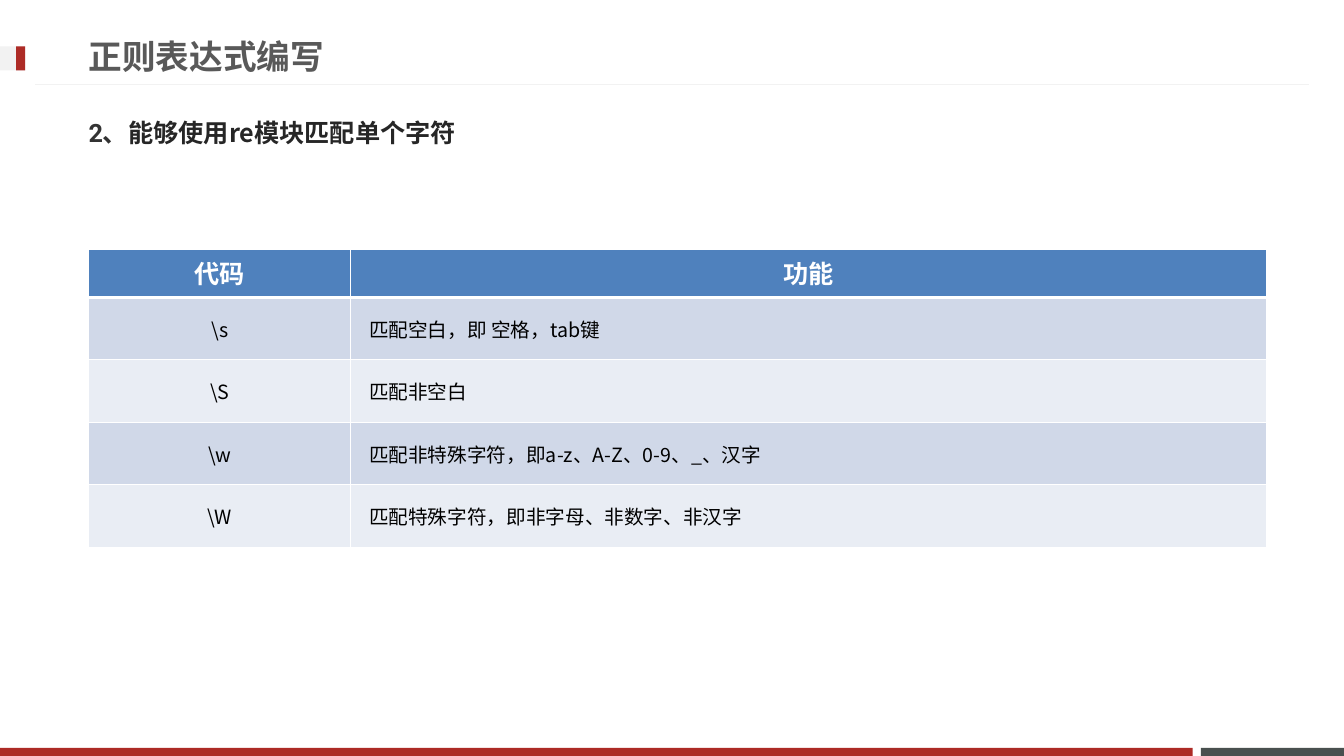
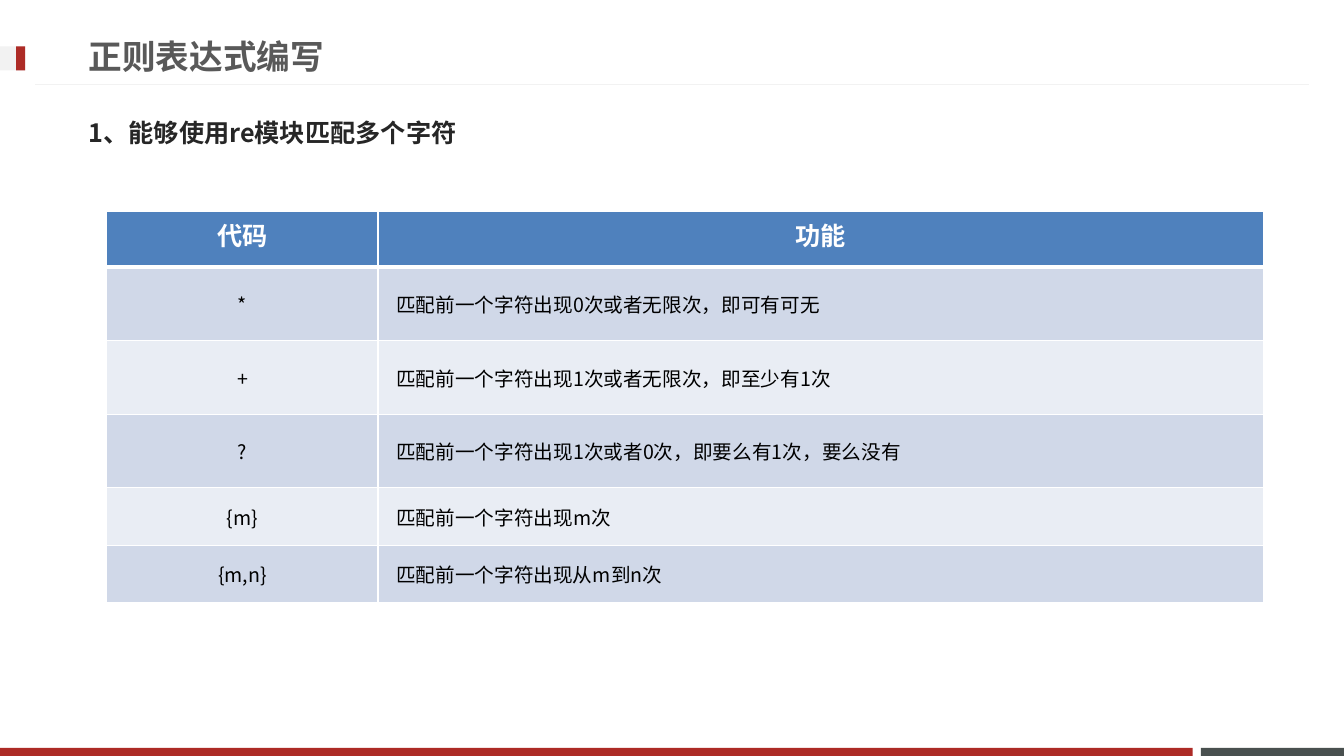
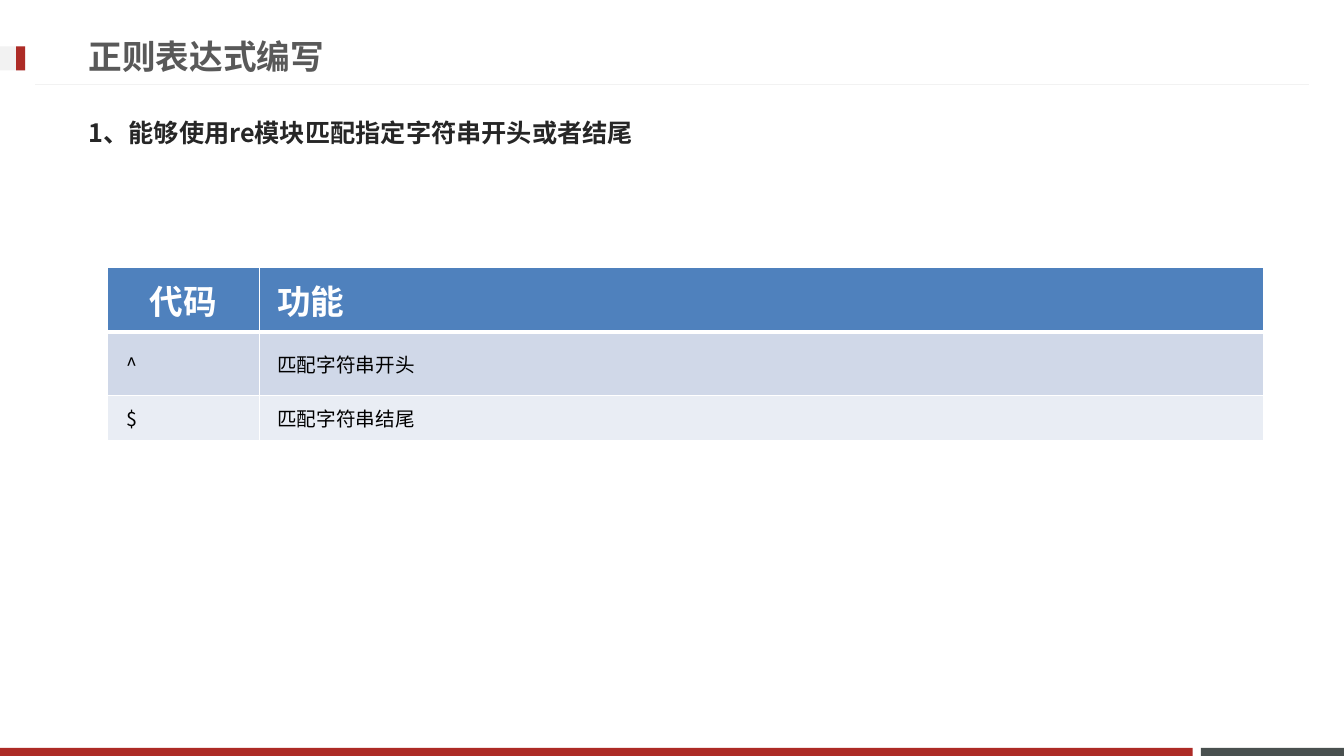
from dataclasses import dataclass
from typing import NamedTuple

from lxml.etree import SubElement
from pptx import Presentation
from pptx.dml.color import RGBColor
from pptx.enum.shapes import MSO_CONNECTOR, MSO_SHAPE
from pptx.enum.text import MSO_ANCHOR, MSO_AUTO_SIZE, PP_ALIGN
from pptx.oxml.ns import qn
from pptx.util import Inches, Pt


# Shared theme
@dataclass(frozen=True)
class Theme:
    red: str = "AD2B26"
    slate: str = "49504F"
    pale: str = "F2F2F2"
    gray: str = "595959"
    dark: str = "333333"
    ink: str = "262626"
    black: str = "000000"
    white: str = "FFFFFF"
    head: str = "4F81BD"
    bands: tuple[str, str] = ("D0D8E8", "E9EDF4")
    cjk: str = "Noto Sans CJK SC"
    big: int = 24
    mid: int = 18
    small: int = 14


THEME = Theme()
LEFT, CENTER = PP_ALIGN.LEFT, PP_ALIGN.CENTER
TOP, MIDDLE = MSO_ANCHOR.TOP, MSO_ANCHOR.MIDDLE
TIGHT, WIDE = (0.1, 0.05), (0.18, 0.08)


class Bar(NamedTuple):
    left: float
    top: float
    width: float
    height: float
    color: str


class Head(NamedTuple):
    size: int
    font: str
    aligns: tuple
    anchor: MSO_ANCHOR
    inset: tuple[float, float]


class Grid(NamedTuple):
    left: float
    top: float
    cols: tuple[float, float]
    heights: tuple[float, ...]
    rows: tuple[tuple[str, str], ...]
    head: Head
    align: PP_ALIGN = CENTER


class Page(NamedTuple):
    lead: str
    topic: str
    grid: Grid


BARS = (
    Bar(11.91, 7.42, 1.42, 0.08, THEME.slate),
    Bar(0, 7.42, 11.83, 0.08, THEME.red),
    Bar(0, 0.46, 0.25, 0.24, THEME.pale),
    Bar(0.16, 0.46, 0.09, 0.24, THEME.red),
)
PLAIN = Head(THEME.mid, "Calibri", (CENTER, CENTER), TOP, TIGHT)
LARGE = Head(THEME.big, THEME.cjk, (CENTER, LEFT), MIDDLE, WIDE)
TITLE = "正则表达式编写"
NAMES = ("代码", "功能")

# Slide content
PAGES = (
    Page("2、", "能够使用re模块匹配单个字符", Grid(
        0.88, 2.47, (2.6, 9.08), (0.48,) + (0.62,) * 4,
        (("\\s", "匹配空白，即 空格，tab键"),
         ("\\S", "匹配非空白"),
         ("\\w", "匹配非特殊字符，即a-z、A-Z、0-9、_、汉字"),
         ("\\W", "匹配特殊字符，即非字母、非数字、非汉字")),
        PLAIN)),
    Page("", "1、能够使用re模块匹配多个字符", Grid(
        1.06, 2.1, (2.69, 8.78), (0.55,) + (0.73,) * 3 + (0.57,) * 2,
        (("*", "匹配前一个字符出现0次或者无限次，即可有可无"),
         ("+", "匹配前一个字符出现1次或者无限次，即至少有1次"),
         ("?", "匹配前一个字符出现1次或者0次，即要么有1次，要么没有"),
         ("{m}", "匹配前一个字符出现m次"),
         ("{m,n}", "匹配前一个字符出现从m到n次")),
        PLAIN)),
    Page("", "1、能够使用re模块匹配指定字符串开头或者结尾", Grid(
        1.07, 2.65, (1.5, 9.96), (0.57, 0.63, 0.42),
        (("^", "匹配字符串开头"),
         ("$", "匹配字符串结尾")),
        LARGE, LEFT)),
)


def rgb(color: str) -> RGBColor:
    return RGBColor.from_string(color)


def write(par, text: str, *, size: int, color: str, font: str = THEME.cjk,
          bold: bool = False, align: PP_ALIGN = LEFT) -> None:
    """Add one formatted run to a paragraph."""
    par.alignment = align
    run = par.add_run()
    run.text = text
    run.font.size = Pt(size)
    run.font.bold = bold
    run.font.name = font
    run.font.color.rgb = rgb(color)
    SubElement(run._r.get_or_add_rPr(), qn("a:ea"), typeface=THEME.cjk)


def place(shape, left: float, top: float, width: float, height: float) -> None:
    shape.left, shape.top = Inches(left), Inches(top)
    shape.width, shape.height = Inches(width), Inches(height)


def frame(slide) -> None:
    """Draw the bands, the tab and the rule under the title."""
    for bar in BARS:
        box = slide.shapes.add_shape(MSO_SHAPE.RECTANGLE, *map(Inches, bar[:4]))
        box.shadow.inherit = False
        box.fill.solid()
        box.fill.fore_color.rgb = rgb(bar.color)
        box.line.fill.background()
    rule = slide.shapes.add_connector(
        MSO_CONNECTOR.STRAIGHT, *map(Inches, (12.98, 0.84, 0.35, 0.84)))
    rule.line.color.rgb = rgb(THEME.pale)
    rule.line.width = Pt(0.75)
    SubElement(rule.element.spPr, qn("a:effectLst"))


def titles(slide, page: Page) -> None:
    """Fill the title and the topic line below it."""
    title = slide.shapes.title
    topic = slide.shapes.add_textbox(0, 0, 0, 0)
    place(title, 0.78, 0.27, 9.59, 0.57)
    place(topic, 0.78, 1.03, 11.76, 0.57)
    for box in (title, topic):
        text = box.text_frame
        text.auto_size = MSO_AUTO_SIZE.NONE
        text.word_wrap = True
        text.vertical_anchor = MIDDLE
    write(title.text_frame.paragraphs[0], TITLE, size=THEME.big,
          color=THEME.gray, font="Arial", bold=True)
    par = topic.text_frame.paragraphs[0]
    par.space_before = Pt(3.6)
    if page.lead:
        write(par, page.lead, size=THEME.mid, color=THEME.dark,
              font="Roboto", bold=True)
    write(par, page.topic, size=THEME.mid, color=THEME.ink, bold=True)


def style(cell, fill: str, anchor: MSO_ANCHOR, inset: tuple[float, float],
          over: int, under: int) -> None:
    """Set a cell's borders, fill, anchor and margins."""
    props = cell._tc.get_or_add_tcPr()
    for side, width in zip("LRTB", (1, 1, over, under)):
        line = SubElement(props, qn(f"a:ln{side}"), w=str(Pt(width)))
        paint = SubElement(line, qn("a:solidFill"))
        SubElement(paint, qn("a:srgbClr"), val=THEME.white)
    cell.fill.solid()
    cell.fill.fore_color.rgb = rgb(fill)
    cell.vertical_anchor = anchor
    cell.margin_left = cell.margin_right = Inches(inset[0])
    cell.margin_top = cell.margin_bottom = Inches(inset[1])


def draw(slide, grid: Grid) -> None:
    """Draw a code table with a header and banded rows."""
    table = slide.shapes.add_table(
        len(grid.heights), len(grid.cols), Inches(grid.left), Inches(grid.top),
        Inches(sum(grid.cols)), Inches(sum(grid.heights))).table
    for col, width in zip(table.columns, grid.cols):
        col.width = Inches(width)
    for row, height in zip(table.rows, grid.heights):
        row.height = Inches(height)
    head = grid.head
    for c, name in enumerate(NAMES):
        cell = table.cell(0, c)
        style(cell, THEME.head, head.anchor, head.inset, 1, 3)
        write(cell.text_frame.paragraphs[0], name, size=head.size, font=head.font,
              color=THEME.white, bold=True, align=head.aligns[c])
    for r, texts in enumerate(grid.rows, 1):
        for c, text in enumerate(texts):
            cell = table.cell(r, c)
            style(cell, THEME.bands[(r - 1) % 2], MIDDLE, WIDE, 3 if r == 1 else 1, 1)
            write(cell.text_frame.paragraphs[0], text, size=THEME.small,
                  color=THEME.black, align=LEFT if c else grid.align)


def main() -> None:
    deck = Presentation()
    deck.slide_width, deck.slide_height = Inches(13.33), Inches(7.5)
    for page in PAGES:
        slide = deck.slides.add_slide(deck.slide_layouts[5])
        frame(slide)
        titles(slide, page)
        draw(slide, page.grid)
    deck.save("out.pptx")


if __name__ == "__main__":
    main()
